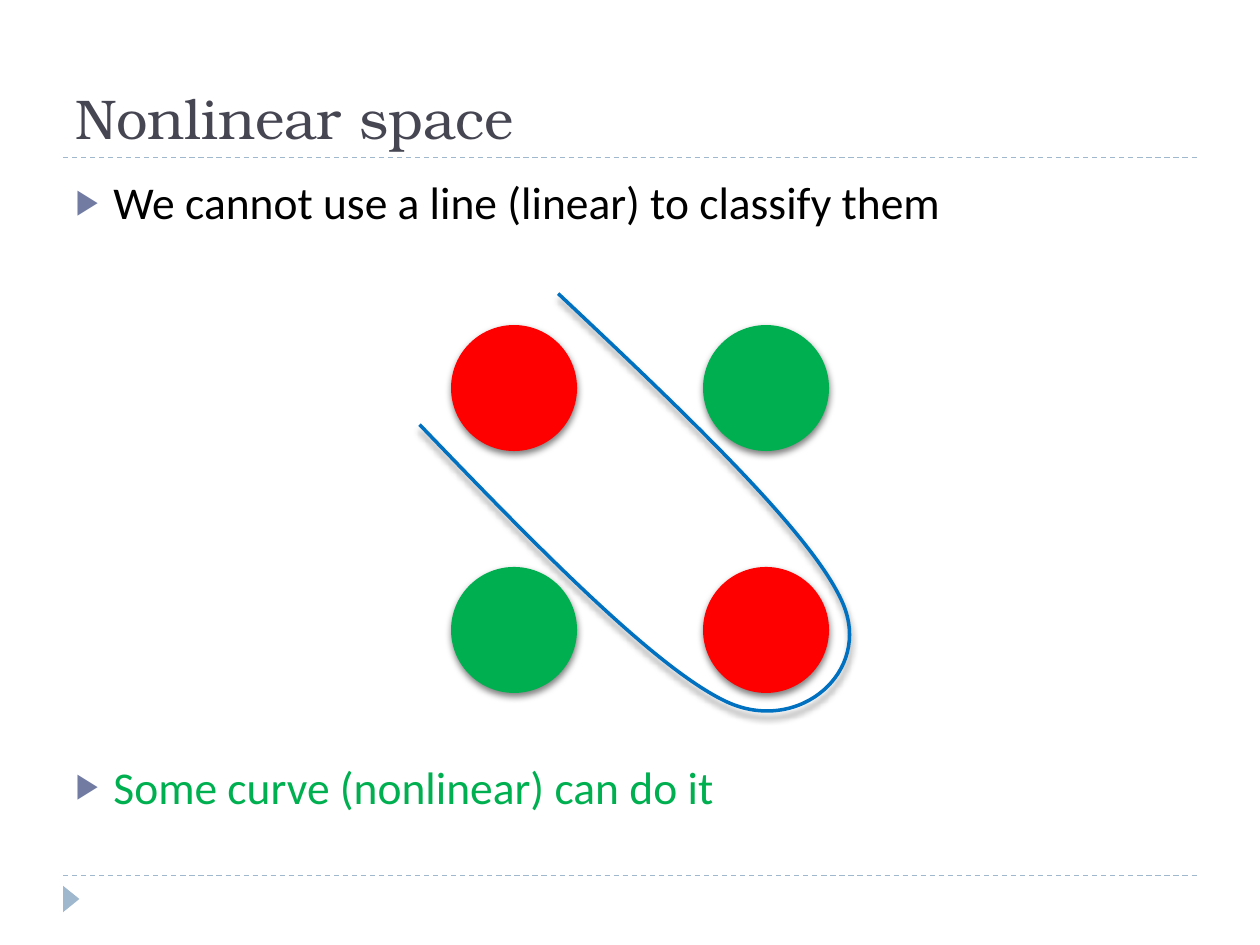
import pptx
import pptx.dml.color
import pptx.enum.dml
import pptx.enum.shapes
import pptx.enum.text
import pptx.oxml
import pptx.oxml.ns
import pptx.util
import lxml.etree

PX = 9144  # EMU per px, 100 px to the inch
RGB = pptx.dml.color.RGBColor
INK = RGB(0x46, 0x46, 0x53)
BLACK = RGB(0, 0, 0)
RED = RGB(0xFF, 0, 0)
GREEN = RGB(0, 0xB0, 0x50)
BLUE = RGB(0, 0x70, 0xC0)
PALE = RGB(0x9F, 0xB8, 0xCD)
BULLET = RGB(0x72, 0x7C, 0xA3)
Pt = pptx.util.Pt
KIND = pptx.enum.shapes.MSO_SHAPE
NS = pptx.oxml.ns.nsdecls("a")
qn = pptx.oxml.ns.qn


def text(para, words, font="Calibri", size=26, color=BLACK, before=0, bullet=False):
    para.alignment = pptx.enum.text.PP_ALIGN.LEFT
    para.space_before = Pt(before)
    run = para.add_run()
    run.text = words
    run.font.name = font
    run.font.size = Pt(size)
    run.font.color.rgb = color
    if bullet:
        props = para._p.get_or_add_pPr()
        props.set("marL", str(30 * PX))
        props.set("indent", str(-30 * PX))
        for part in (
            f'<a:buClr {NS}><a:srgbClr val="{BULLET}"/></a:buClr>',
            f'<a:buSzPct {NS} val="76000"/>',
            f'<a:buFont {NS} typeface="Arial"/>',
            f'<a:buChar {NS} char="▶"/>',
        ):
            props.append(pptx.oxml.parse_xml(part))


def shade(shape, alpha, dist):
    """Give the shape a soft black shadow straight below it."""
    shape.shadow.inherit = False
    shape._element.spPr.find(qn("a:effectLst")).append(pptx.oxml.parse_xml(
        f'<a:outerShdw {NS} blurRad="{Pt(4)}" dist="{Pt(dist)}" dir="5400000"'
        f' rotWithShape="0"><a:srgbClr val="000000">'
        f'<a:alpha val="{alpha * 1000}"/></a:srgbClr></a:outerShdw>'))


deck = pptx.Presentation()
deck.slide_width = 1000 * PX
deck.slide_height = 750 * PX
slide = deck.slides.add_slide(deck.slide_layouts[1])
shapes = slide.shapes

# Rules and corner mark
for y in (695, 125):
    rule = shapes.add_connector(
        pptx.enum.shapes.MSO_CONNECTOR.STRAIGHT, 50 * PX, y * PX, 950 * PX, y * PX)
    rule.line.color.rgb = PALE
    rule.line.width = Pt(0.75)
    rule.line.dash_style = pptx.enum.dml.MSO_LINE.DASH
    lxml.etree.SubElement(rule._element.spPr, qn("a:effectLst"))

mark = shapes.add_shape(KIND.ISOSCELES_TRIANGLE, 46 * PX, 707 * PX, 21 * PX, 13 * PX)
mark.rotation = 90
mark.shadow.inherit = False
mark.fill.solid()
mark.fill.fore_color.rgb = PALE
mark.line.fill.background()

# Title and list
title, body = shapes.title, slide.placeholders[1]
for holder, top, high in ((title, 17, 108), (body, 133, 540)):
    holder.left, holder.top = 50 * PX, top * PX
    holder.width, holder.height = 900 * PX, high * PX
    holder.text_frame.auto_size = pptx.enum.text.MSO_AUTO_SIZE.NONE

title.text_frame.vertical_anchor = pptx.enum.text.MSO_ANCHOR.BOTTOM
text(title.text_frame.paragraphs[0], "Nonlinear space",
     font="TeX Gyre Bonum", size=32, color=INK)
text(body.text_frame.paragraphs[0], "We cannot use a line (linear) to classify them",
     before=6, bullet=True)
text(body.text_frame.add_paragraph(), "Some curve (nonlinear) can do it",
     color=GREEN, before=303, bullet=True)

# Two classes on opposite corners
for row, y in enumerate((258, 450)):
    for col, x in enumerate((358, 558)):
        dot = shapes.add_shape(KIND.OVAL, x * PX, y * PX, 100 * PX, 100 * PX)
        dot.fill.solid()
        dot.fill.fore_color.rgb = RED if row == col else GREEN
        dot.line.fill.background()
        shade(dot, 50, 2)

# Boundary: each three points after the start make one Bezier curve
points = [(428, 436), (524, 534), (579, 558),
          (635, 582), (692, 533), (669, 479),
          (646, 425), (545, 329), (443, 233)]
pen = shapes.build_freeform(333, 337, scale=PX)
pen.add_line_segments(points, close=False)
curve = pen.convert_to_shape()
track = next(curve._element.iter(qn("a:path")))
steps = track.findall(qn("a:lnTo"))
for i in range(0, len(steps), 3):
    bend = lxml.etree.SubElement(track, qn("a:cubicBezTo"))
    for step in steps[i:i + 3]:
        bend.append(step[0])
        track.remove(step)
curve.fill.background()
curve.line.color.rgb = BLUE
curve.line.width = Pt(2)
shade(curve, 40, 3.4)

deck.save("out.pptx")
